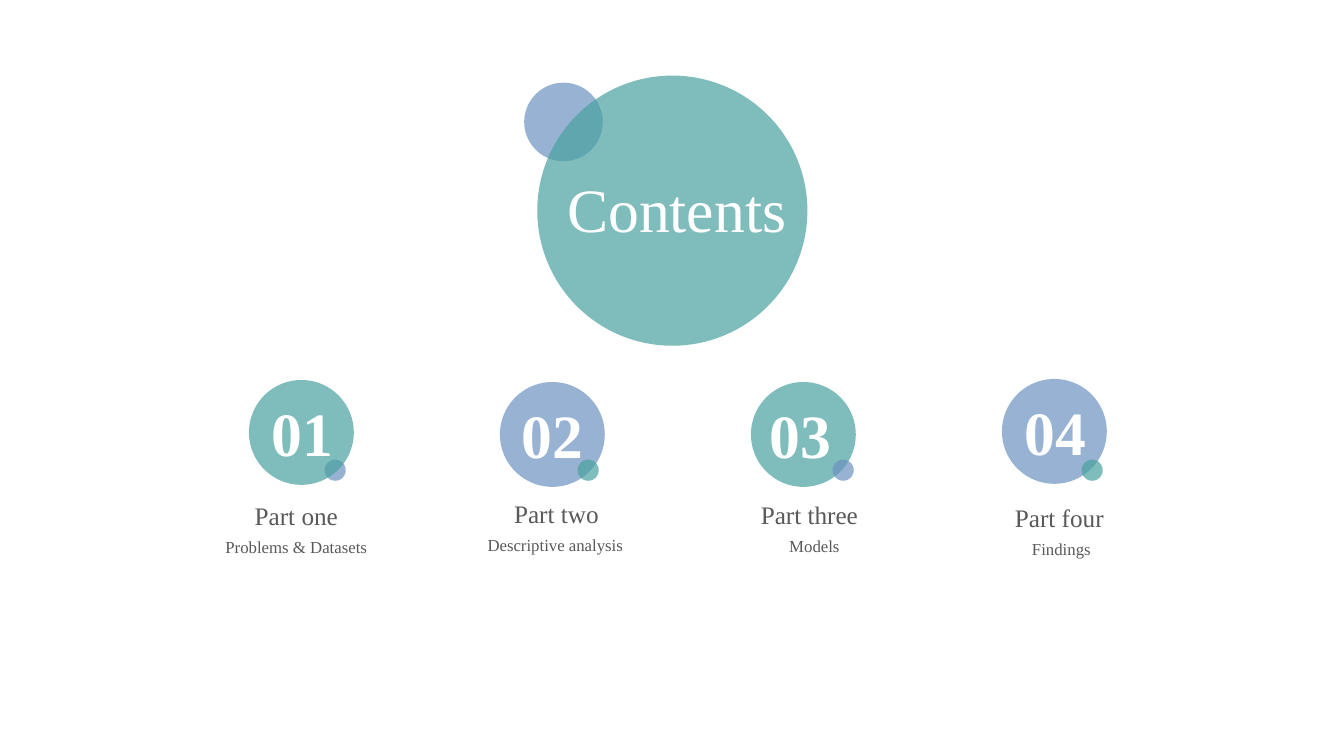
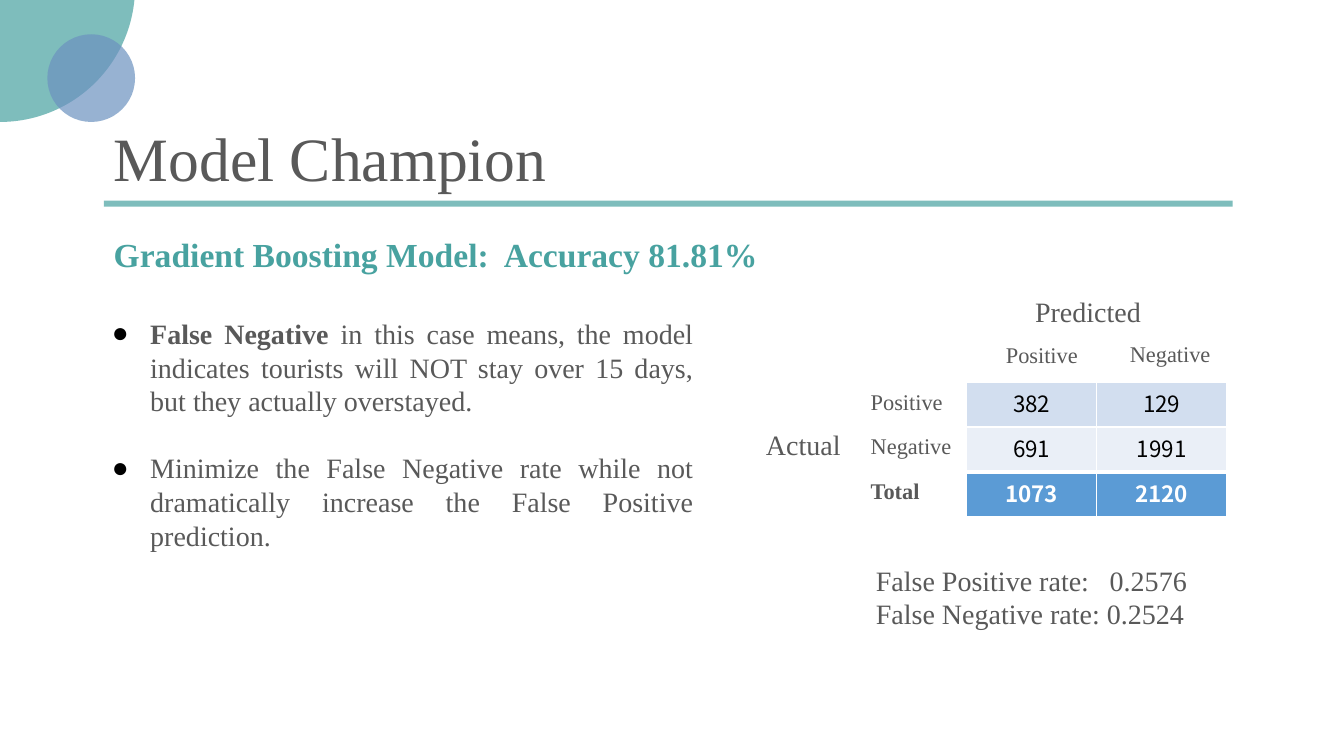
from dataclasses import dataclass
from typing import Optional

from lxml import etree
from pptx import Presentation
from pptx import util as u
from pptx.dml.color import RGBColor
from pptx.enum import shapes, text
from pptx.oxml import ns


@dataclass(frozen=True)
class Theme:
    teal: str = "48A2A0"
    blue: str = "6C92C0"
    ink: str = "595959"
    white: str = "FFFFFF"
    black: str = "000000"
    band_dark: str = "D2DEEF"
    band_light: str = "EAEFF7"
    total: str = "5B9BD5"
    opacity: int = 70
    font: str = "Times New Roman"
    table_font: str = "Noto Sans CJK SC"
    display: int = 44
    subtitle: int = 24
    body: int = 20
    heading: int = 18
    label: int = 16
    detail: int = 12


@dataclass(frozen=True)
class Box:
    left: float
    top: float
    width: float
    height: float


@dataclass(frozen=True)
class Part:
    number: str
    heading: str
    detail: str
    color: str
    dot_color: str
    circle_top: float
    number_center: float
    dot_left: float
    heading_center: float
    heading_top: float
    detail_center: float
    dot_behind: bool = False


@dataclass(frozen=True)
class Label:
    text: str
    box: Box
    size: int
    bold: bool = False


THEME = Theme()
CELLS_PER_INCH = 10
SLIDE_COLUMNS, SLIDE_ROWS = 133.33, 75
LARGE_CIRCLE, PART_CIRCLE, DOT = 26.8, 10.4, 2.1
PART_LEFT, PART_STEP = 24.7, 24.9
DOT_TOP = 45.6

PARTS = [
    Part("01", "Part one", "Problems & Datasets", THEME.teal, THEME.blue,
         37.7, 30, 32.2, 29.4, 49.1, 29.4, dot_behind=True),
    Part("02", "Part two", "Descriptive analysis", THEME.blue, THEME.teal,
         37.9, 54.8, 57.3, 55.2, 48.9, 55.1),
    Part("03", "Part three", "Models", THEME.teal, THEME.blue,
         37.9, 79.4, 82.6, 80.3, 49, 80.8),
    Part("04", "Part four", "Findings", THEME.blue, THEME.teal,
         37.6, 104.7, 107.3, 105.1, 49.3, 105.3),
]

MATRIX_LABELS = [
    Label("Predicted", Box(101.7, 28.2, 19.9, 7.3), THEME.body),
    Label("Actual", Box(75, 41.4, 13.3, 8.7), THEME.body),
    Label("Positive", Box(98.8, 32.8, 19.9, 5.6), THEME.label),
    Label("Negative", Box(111.1, 32.7, 11.1, 6.3), THEME.label),
] + [
    Label(name, Box(85.4, 37.5 + 4.4 * row, 22, 5.6), THEME.label, name == "Total")
    for row, name in enumerate(["Positive", "Negative", "Total"])
]

MATRIX = [["382", "129"], ["691", "1991"], ["1073", "2120"]]


def cells(count: float) -> int:
    return u.Inches(count / CELLS_PER_INCH)


def frame_of(box: Box) -> tuple:
    return cells(box.left), cells(box.top), cells(box.width), cells(box.height)


def place(shape, box: Box) -> None:
    shape.left, shape.top, shape.width, shape.height = frame_of(box)


def add_figure(slide, box: Box, color: str, kind=shapes.MSO_SHAPE.OVAL):
    shape = slide.shapes.add_shape(kind, *frame_of(box))
    shape.shadow.inherit = False
    shape.fill.solid()
    shape.fill.fore_color.rgb = RGBColor.from_string(color)
    shape.line.fill.background()
    fill_color = shape.element.spPr.find(".//" + ns.qn("a:srgbClr"))
    etree.SubElement(fill_color, ns.qn("a:alpha"), val=str(THEME.opacity * 1000))
    return shape


def add_circle(slide, left: float, top: float, size: float, color: str):
    return add_figure(slide, Box(left, top, size, size), color)


def add_bullet(paragraph) -> None:
    properties = paragraph._p.get_or_add_pPr()
    properties.set("marL", str(cells(5)))
    properties.set("indent", str(cells(-3.8)))
    color = etree.SubElement(properties, ns.qn("a:buClr"))
    etree.SubElement(color, ns.qn("a:srgbClr"), val=THEME.black)
    etree.SubElement(properties, ns.qn("a:buFont"), typeface=THEME.font)
    etree.SubElement(properties, ns.qn("a:buChar"), char="●")


def add_tab(paragraph, position: float) -> None:
    tabs = etree.SubElement(paragraph._p.get_or_add_pPr(), ns.qn("a:tabLst"))
    etree.SubElement(tabs, ns.qn("a:tab"), pos=str(cells(position)), algn="l")


def write(frame, content: str, *, size: int, color: str = THEME.ink,
          font: str = THEME.font, bold: bool = False, lead: str = "",
          align=text.PP_ALIGN.LEFT, anchor=text.MSO_ANCHOR.TOP,
          inset: float = 0.5, bullet: bool = False, tab: Optional[float] = None,
          gap: int = 0, line_spacing: float = 1.0) -> None:
    frame.word_wrap = True
    frame.auto_size = text.MSO_AUTO_SIZE.NONE
    frame.vertical_anchor = anchor
    frame.margin_left = frame.margin_right = cells(1)
    frame.margin_top = frame.margin_bottom = cells(inset)
    for index, line in enumerate(content.split("\n")):
        paragraph = frame.add_paragraph() if index else frame.paragraphs[0]
        if bullet:
            add_bullet(paragraph)
        if tab is not None:
            add_tab(paragraph, tab)
        paragraph.alignment = align
        paragraph.line_spacing = line_spacing
        paragraph.space_before = u.Pt(gap if index else 0)
        pieces = [(line, bold)]
        if lead and line.startswith(lead):
            pieces = [(lead, True), (line[len(lead):], bold)]
        for piece, is_bold in pieces:
            run = paragraph.add_run()
            run.text = piece
            run.font.name = font
            run.font.size = u.Pt(size)
            run.font.bold = is_bold
            run.font.color.rgb = RGBColor.from_string(color)


def add_text(slide, content: str, box: Box, **style):
    shape = slide.shapes.add_textbox(*frame_of(box))
    write(shape.text_frame, content, **style)
    return shape


def set_title(slide, content: str, box: Box, **style) -> None:
    title = slide.shapes.title
    place(title, box)
    write(title.text_frame, content, size=THEME.display, **style)
    title.element.getparent().append(title.element)


def add_part(slide, part: Part, column: int) -> None:
    circle = (PART_LEFT + PART_STEP * column, part.circle_top, PART_CIRCLE, part.color)
    dot = (part.dot_left, DOT_TOP, DOT, part.dot_color)
    centered = text.PP_ALIGN.CENTER
    if part.dot_behind:
        add_circle(slide, *dot)
    add_circle(slide, *circle)
    add_text(slide, part.number, Box(part.number_center - 6, part.circle_top + 1, 12, 8.4),
             size=THEME.display, color=THEME.white, bold=True, align=centered)
    if not part.dot_behind:
        add_circle(slide, *dot)
    add_text(slide, part.heading, Box(part.heading_center - 11, part.heading_top, 22, 4),
             size=THEME.heading, align=centered)
    add_text(slide, part.detail, Box(part.detail_center - 11, part.heading_top + 3.7, 22, 3),
             size=THEME.detail, align=centered)


def set_borders(cell, top_width: int) -> None:
    properties = cell._tc.get_or_add_tcPr()
    for index, side in enumerate(["lnL", "lnR", "lnT", "lnB"]):
        width = top_width if side == "lnT" else 1
        line = etree.Element(ns.qn(f"a:{side}"), w=str(u.Pt(width)))
        fill = etree.SubElement(line, ns.qn("a:solidFill"))
        etree.SubElement(fill, ns.qn("a:srgbClr"), val=THEME.white)
        properties.insert(index, line)


def add_matrix(slide, box: Box) -> None:
    table = slide.shapes.add_table(len(MATRIX), len(MATRIX[0]), *frame_of(box)).table
    table.first_row = False
    table.last_row = True
    fills = [THEME.band_dark, THEME.band_light, THEME.total]
    for row, values in enumerate(MATRIX):
        is_total = row == len(MATRIX) - 1
        for column, value in enumerate(values):
            cell = table.cell(row, column)
            cell.fill.solid()
            cell.fill.fore_color.rgb = RGBColor.from_string(fills[row])
            set_borders(cell, 3 if is_total else 1)
            write(cell.text_frame, value, size=THEME.label, font=THEME.table_font,
                  color=THEME.white if is_total else THEME.black, bold=is_total,
                  align=text.PP_ALIGN.CENTER)


def build_contents(presentation) -> None:
    slide = presentation.slides.add_slide(presentation.slide_layouts[5])
    add_circle(slide, 52, 8.2, 7.8, THEME.blue)
    add_circle(slide, 53.3, 7.5, LARGE_CIRCLE, THEME.teal)
    set_title(slide, "Contents", Box(45.5, 16, 43.3, 9.3), color=THEME.white,
              align=text.PP_ALIGN.CENTER, anchor=text.MSO_ANCHOR.MIDDLE)
    for column, part in enumerate(PARTS):
        add_part(slide, part, column)


def build_model(presentation) -> None:
    slide = presentation.slides.add_slide(presentation.slide_layouts[1])
    add_circle(slide, -13.4, -14.7, LARGE_CIRCLE, THEME.teal)
    add_circle(slide, 4.7, 3.4, 8.7, THEME.blue)
    set_title(slide, "Model Champion", Box(10.3, 12, 109.4, 6.3), inset=1,
              line_spacing=0.85)
    add_figure(slide, Box(10.3, 19.9, 112, 0.6), THEME.teal, shapes.MSO_SHAPE.RECTANGLE)
    add_text(slide, "Gradient Boosting Model:\tAccuracy 81.81%", Box(10.3, 22.7, 66.6, 9.1),
             size=THEME.subtitle, color=THEME.teal, bold=True, tab=38.7)
    body = slide.placeholders[1]
    place(body, Box(8.9, 30.9, 60.9, 38))
    write(body.text_frame,
          "False Negative in this case means, the model indicates tourists will NOT stay "
          "over 15 days, but they actually overstayed.\n"
          "Minimize the False Negative rate while not dramatically increase the False "
          "Positive prediction.",
          size=THEME.body, lead="False Negative ", align=text.PP_ALIGN.JUSTIFY,
          bullet=True, gap=24)
    for label in MATRIX_LABELS:
        add_text(slide, label.text, label.box, size=label.size, bold=label.bold, inset=1)
    add_matrix(slide, Box(95.9, 37.9, 25.8, 13.4))
    add_text(slide, "False Positive rate:\t0.2576\nFalse Negative rate: 0.2524",
             Box(85.9, 55.4, 43.2, 7.7), size=THEME.body, tab=23.2)


def main() -> None:
    presentation = Presentation()
    presentation.slide_width = cells(SLIDE_COLUMNS)
    presentation.slide_height = cells(SLIDE_ROWS)
    build_contents(presentation)
    build_model(presentation)
    presentation.save("out.pptx")


if __name__ == "__main__":
    main()
